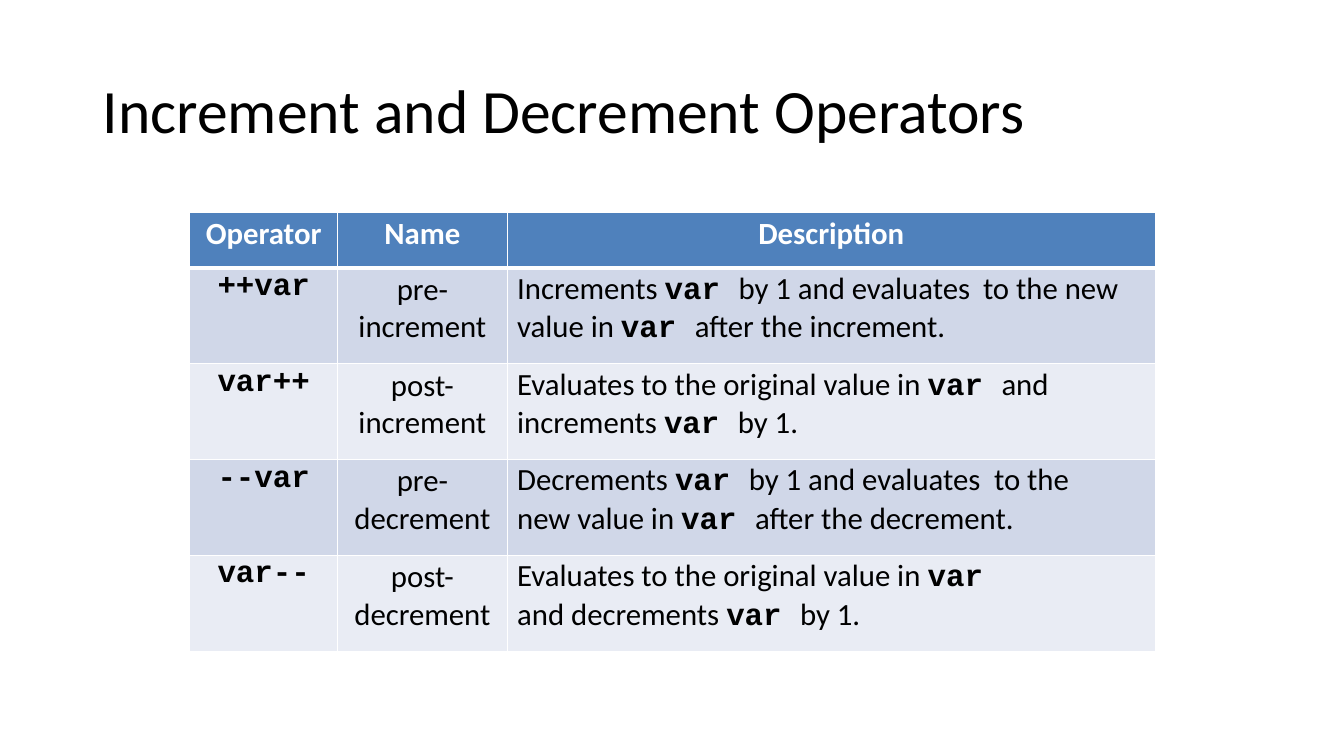
from lxml import etree
from pptx import Presentation
from pptx import util as u
from pptx.dml.color import RGBColor
from pptx.enum import text
from pptx.oxml import ns

BLACK = RGBColor(0x00, 0x00, 0x00)
WHITE = RGBColor(0xFF, 0xFF, 0xFF)
HEADER_BLUE = RGBColor(0x4F, 0x81, 0xBC)
BAND_DARK = RGBColor(0xD0, 0xD7, 0xE8)
BAND_LIGHT = RGBColor(0xE9, 0xEC, 0xF4)
BODY_FONT, CODE_FONT = "Calibri", "Courier New"

COLUMN_WIDTHS = [1.47, 1.68, 6.43]
HEADER_HEIGHT, ROW_HEIGHT = 0.55, 0.95
HEADERS = ["Operator", "Name", "Description"]
# Operator, lines of the name, lines of the description, tab stop
OPERATORS = [
    ("++var", ["pre-", "increment"],
     ["Increments var by 1 and evaluates\tto the new",
      "value in var after the increment."], 4.62),
    ("var++", ["post-", "increment"],
     ["Evaluates to the original value in var and",
      "increments var by 1."], None),
    ("--var", ["pre-", "decrement"],
     ["Decrements var by 1 and evaluates\tto the",
      "new value in var after the decrement."], 4.73),
    ("var--", ["post-", "decrement"],
     ["Evaluates to the original value in var ",
      "and decrements var by 1."], None),
]


def add_run(paragraph, words, size=22, font=BODY_FONT, color=BLACK, bold=False):
    run = paragraph.add_run()
    run.text = words
    run.font.size = u.Pt(size)
    run.font.name = font
    run.font.color.rgb = color
    run.font.bold = bold


def add_mixed_runs(paragraph, line):
    """Set each "var " in the code font and the rest in the body font."""
    for index, words in enumerate(line.split("var ")):
        if index:
            add_run(paragraph, "var ", font=CODE_FONT, bold=True)
        if words:
            add_run(paragraph, words)


def add_tab_stop(paragraph, position):
    properties = paragraph._p.get_or_add_pPr()
    tabs = etree.SubElement(properties, ns.qn("a:tabLst"))
    etree.SubElement(tabs, ns.qn("a:tab"), pos=str(u.Inches(position)), algn="l")


def add_borders(cell, top=1, bottom=1):
    properties = cell._tc.get_or_add_tcPr()
    for side, points in (("L", 1), ("R", 1), ("T", top), ("B", bottom)):
        line = etree.SubElement(properties, ns.qn(f"a:ln{side}"), w=str(u.Pt(points)))
        fill = etree.SubElement(line, ns.qn("a:solidFill"))
        etree.SubElement(fill, ns.qn("a:srgbClr"), val=str(WHITE))


def format_cell(cell, color, inset_top, inset_left=0.0, **borders):
    add_borders(cell, **borders)
    cell.fill.solid()
    cell.fill.fore_color.rgb = color
    cell.margin_left = u.Inches(inset_left)
    cell.margin_top = u.Inches(inset_top)
    cell.margin_right = cell.margin_bottom = 0
    cell.vertical_anchor = text.MSO_ANCHOR.TOP


def add_lines(cell, count, space_before, alignment=text.PP_ALIGN.CENTER):
    """Return the cell's paragraphs, with space above the first."""
    frame = cell.text_frame
    paragraphs = [frame.paragraphs[0]] + [frame.add_paragraph() for _ in range(count - 1)]
    for paragraph in paragraphs:
        paragraph.alignment = alignment
    paragraphs[0].space_before = u.Pt(space_before)
    return paragraphs


def build_title(slide, left, top, width, height):
    title = slide.shapes.title
    title.left, title.top = u.Inches(left), u.Inches(top)
    title.width, title.height = u.Inches(width), u.Inches(height)
    title.text_frame.vertical_anchor = text.MSO_ANCHOR.MIDDLE
    title.text_frame.word_wrap = True
    paragraph = title.text_frame.paragraphs[0]
    paragraph.alignment = text.PP_ALIGN.LEFT
    paragraph.line_spacing = 0.9
    add_run(paragraph, "Increment and Decrement Operators", size=44)


def build_operator_table(slide, left, top):
    height = HEADER_HEIGHT + ROW_HEIGHT * len(OPERATORS)
    table = slide.shapes.add_table(
        len(OPERATORS) + 1, len(HEADERS), u.Inches(left), u.Inches(top),
        u.Inches(sum(COLUMN_WIDTHS)), u.Inches(height)).table
    table.first_row = table.horz_banding = False
    for column, width in zip(table.columns, COLUMN_WIDTHS):
        column.width = u.Inches(width)
    for index, row in enumerate(table.rows):
        row.height = u.Inches(ROW_HEIGHT if index else HEADER_HEIGHT)

    # Header row
    for cell, heading in zip(table.rows[0].cells, HEADERS):
        format_cell(cell, HEADER_BLUE, 0.03, bottom=3)
        add_run(add_lines(cell, 1, 2.2)[0], heading, color=WHITE, bold=True)

    # One banded row for each operator
    for index, (operator, name, description, tab_stop) in enumerate(OPERATORS, 1):
        color = BAND_DARK if index % 2 else BAND_LIGHT
        border_top = 3 if index == 1 else 1
        code_cell, name_cell, description_cell = table.rows[index].cells

        format_cell(code_cell, color, 0.02, top=border_top)
        add_run(add_lines(code_cell, 1, 1.1)[0], operator, font=CODE_FONT, bold=True)

        format_cell(name_cell, color, 0.03, top=border_top)
        for paragraph, line in zip(add_lines(name_cell, len(name), 2.3), name):
            add_run(paragraph, line)

        format_cell(description_cell, color, 0.02, 0.1, top=border_top)
        paragraphs = add_lines(description_cell, len(description), 1.4, text.PP_ALIGN.LEFT)
        for paragraph, line in zip(paragraphs, description):
            add_mixed_runs(paragraph, line)
        if tab_stop:
            add_tab_stop(paragraphs[0], tab_stop)


def main():
    presentation = Presentation()
    presentation.slide_width = u.Inches(13.33)
    presentation.slide_height = u.Inches(7.5)
    slide = presentation.slides.add_slide(presentation.slide_layouts[5])
    build_title(slide, 0.92, 0.4, 11.5, 1.45)
    build_operator_table(slide, 1.88, 2.11)
    presentation.save("out.pptx")


if __name__ == "__main__":
    main()
